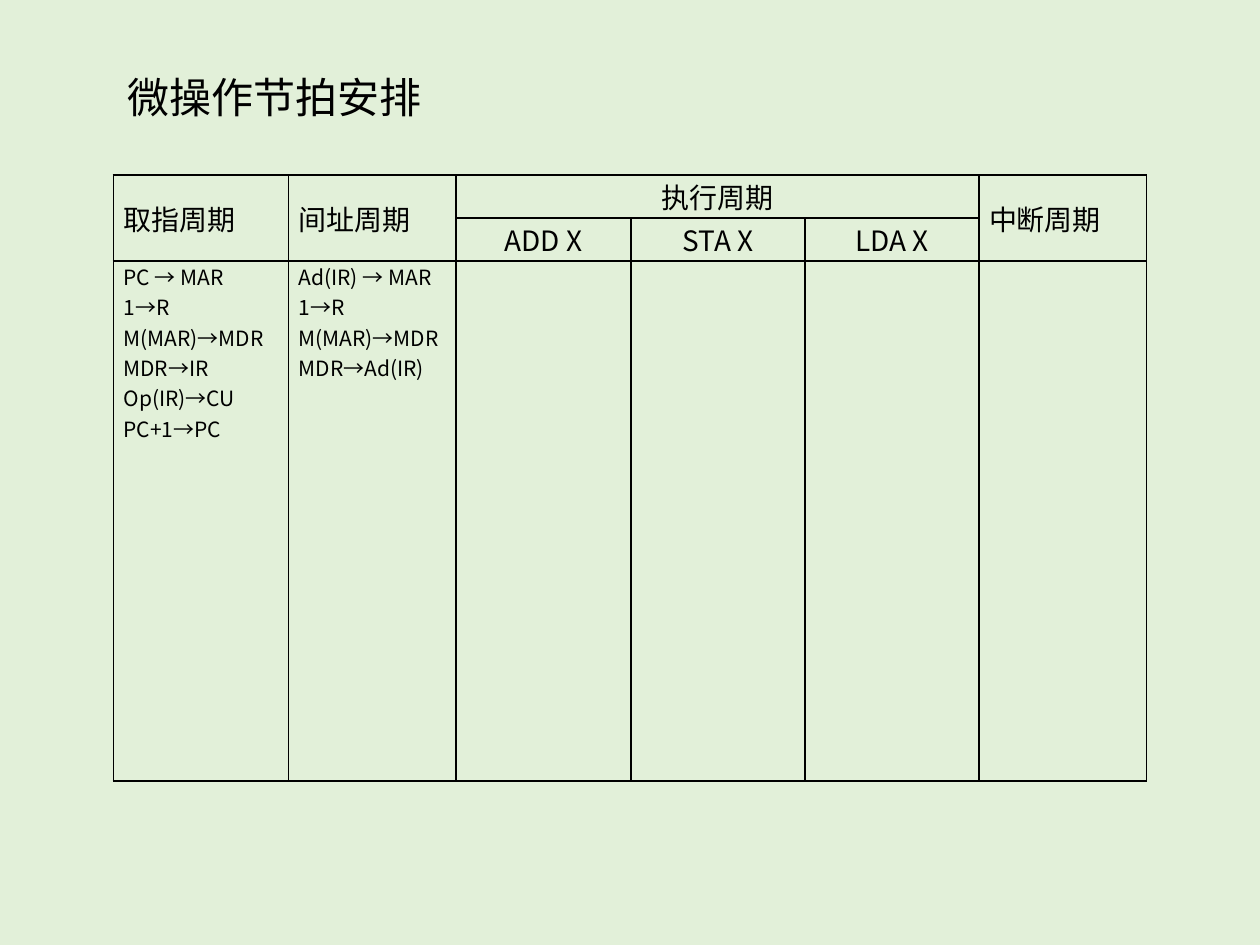
from pptx import Presentation
from pptx.dml.color import RGBColor
from pptx.enum import text
from pptx.oxml import ns, xmlchemy
from pptx.util import Inches, Pt
from lxml import etree

FONT = "Noto Sans CJK SC"
BLACK, BACKGROUND = "000000", "E2F0D9"
JUSTIFY, CENTER = text.PP_ALIGN.JUSTIFY, text.PP_ALIGN.CENTER
TOP, MIDDLE = text.MSO_ANCHOR.TOP, text.MSO_ANCHOR.MIDDLE

# Content
TITLE = "微操作节拍安排"
COLUMNS = [1.39, 1.33, 1.39, 1.38, 1.38, 1.33]
ROWS = [0.34, 0.34, 4.13]
HEADERS = [  # row, column, last row, last column, label, alignment
    (0, 0, 1, 0, "取指周期", JUSTIFY),
    (0, 1, 1, 1, "间址周期", JUSTIFY),
    (0, 2, 0, 4, "执行周期", CENTER),
    (0, 5, 1, 5, "中断周期", JUSTIFY),
    (1, 2, 1, 2, "ADD X", CENTER),
    (1, 3, 1, 3, "STA X", CENTER),
    (1, 4, 1, 4, "LDA X", CENTER),
]
OPERATIONS = [
    ["PC → MAR", "1→R", "M(MAR)→MDR", "MDR→IR", "Op(IR)→CU", "PC+1→PC"],
    ["Ad(IR) → MAR", "1→R", "M(MAR)→MDR", "MDR→Ad(IR)"],
]


def color(value):
    return RGBColor.from_string(value)


def write(frame, lines, size, alignment, anchor):
    frame.vertical_anchor = anchor
    for index, line in enumerate(lines):
        paragraph = frame.paragraphs[0] if index == 0 else frame.add_paragraph()
        paragraph.alignment = alignment
        run = paragraph.add_run()
        run.text = line
        run.font.size = Pt(size)
        run.font.name = FONT
        run.font.color.rgb = color(BLACK)
        east_asian = etree.SubElement(run.font._element, ns.qn("a:ea"))
        east_asian.set("typeface", FONT)


def add_borders(cell):
    properties = cell._tc.get_or_add_tcPr()
    for index, side in enumerate(("lnL", "lnR", "lnT", "lnB")):
        line = etree.Element(ns.qn(f"a:{side}"), w=str(Pt(1)))
        fill = etree.SubElement(line, ns.qn("a:solidFill"))
        etree.SubElement(fill, ns.qn("a:srgbClr"), val=BLACK)
        properties.insert(index, line)


presentation = Presentation()
presentation.slide_width, presentation.slide_height = Inches(10), Inches(7.5)
slide = presentation.slides.add_slide(presentation.slide_layouts[5])
slide.background.fill.solid()
slide.background.fill.fore_color.rgb = color(BACKGROUND)

# Title
title = slide.shapes.title
title.left, title.top = Inches(0.91), Inches(0.52)
title.width, title.height = Inches(5.58), Inches(0.5)
title.text_frame.word_wrap = True
title.text_frame.auto_size = text.MSO_AUTO_SIZE.NONE
write(title.text_frame, [TITLE], 24, text.PP_ALIGN.LEFT, TOP)

# Table grid
table = slide.shapes.add_table(
    len(ROWS), len(COLUMNS), Inches(0.9), Inches(1.39),
    Inches(sum(COLUMNS)), Inches(sum(ROWS))).table
table.first_row = table.horz_banding = False
for column, width in zip(table.columns, COLUMNS):
    column.width = Inches(width)
for row, height in zip(table.rows, ROWS):
    row.height = Inches(height)
for cell in table.iter_cells():
    cell.margin_left = cell.margin_right = Inches(0.08)
    cell.margin_top = cell.margin_bottom = 0
    cell.fill.background()
    add_borders(cell)

# Cycle headers
for row, column, last_row, last_column, label, alignment in HEADERS:
    cell = table.cell(row, column)
    if (row, column) != (last_row, last_column):
        cell.merge(table.cell(last_row, last_column))
    write(cell.text_frame, [label], 16, alignment, MIDDLE)
    cell.vertical_anchor = MIDDLE

# Micro-operations of each cycle
for column, lines in enumerate(OPERATIONS):
    write(table.cell(2, column).text_frame, lines, 12, JUSTIFY, TOP)

# The anchor of a table cell belongs to the cell, not to its text body
for cell in table.iter_cells():
    cell.text_frame.vertical_anchor = None

presentation.save("out.pptx")
